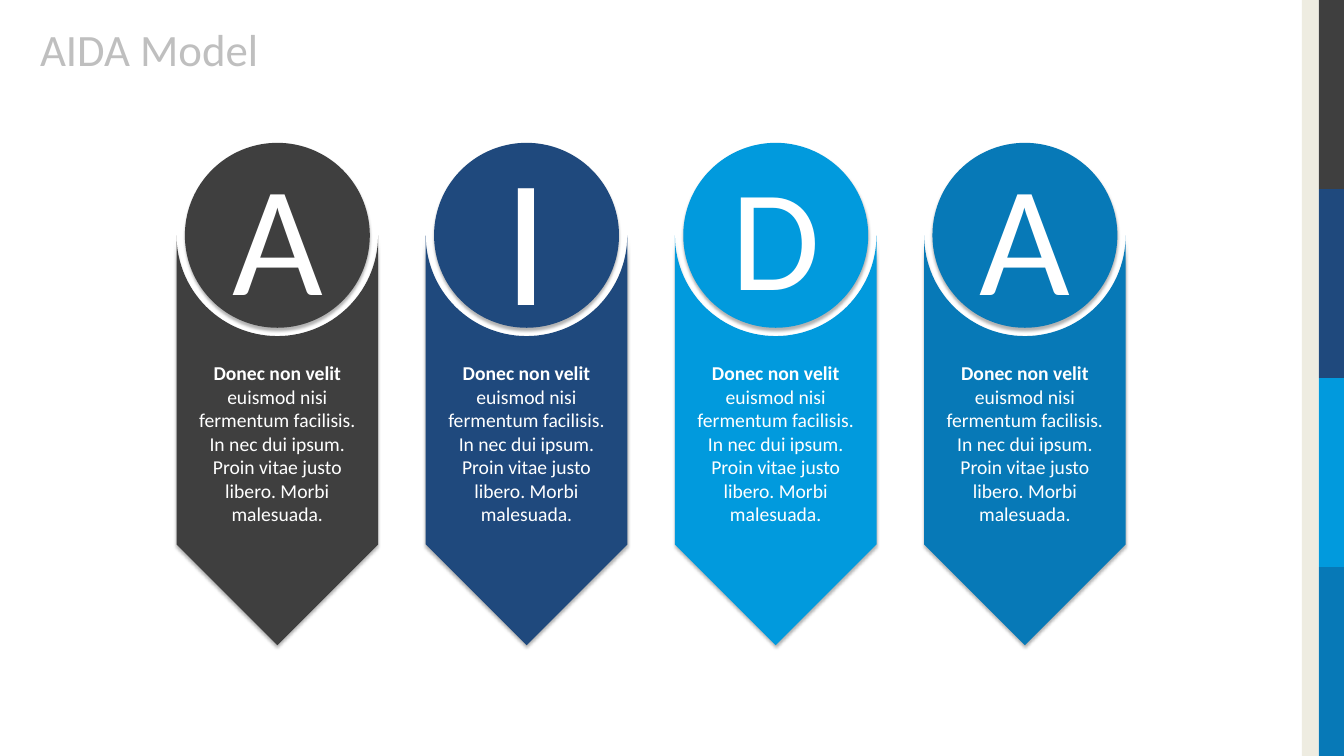
from dataclasses import dataclass
from math import cos, pi, sin

from lxml.etree import SubElement
from pptx import Presentation
from pptx.dml.color import RGBColor
from pptx.enum.shapes import MSO_SHAPE as Preset
from pptx.enum.text import MSO_ANCHOR as Anchor, MSO_AUTO_SIZE as AutoSize, PP_ALIGN as Align
from pptx.oxml.ns import qn
from pptx.util import Cm, Pt


@dataclass(frozen=True)
class Theme:
    font: str = "Calibri"
    pillars: tuple = ("3F3F3F", "1F497D", "019ADD", "0779B7")
    edge: str = "EEECE1"
    title: str = "BFBFBF"
    text: str = "FFFFFF"
    shadow: str = "000000"
    title_size: int = 32
    body_size: int = 14
    letter_sizes: tuple = (112, 130, 103, 112)


theme = Theme()


def paint(shape, color, shadow=False):
    shape.fill.solid()
    shape.fill.fore_color.rgb = RGBColor.from_string(color)
    shape.line.fill.background()
    shape.shadow.inherit = False
    if shadow:
        effects = shape._element.spPr.find(qn("a:effectLst"))
        outer = SubElement(effects, qn("a:outerShdw"), blurRad=str(Pt(2)), dist=str(Pt(2)),
                           dir="5400000", algn="t", rotWithShape="0")
        shade = SubElement(outer, qn("a:srgbClr"), val=theme.shadow)
        SubElement(shade, qn("a:alpha"), val="30000")


def add_text(shapes, box, texts, size, color, align=Align.CENTER, wrap=True):
    shape = shapes.add_textbox(*[Cm(length) for length in box])
    frame = shape.text_frame
    frame.word_wrap = wrap
    frame.auto_size = AutoSize.NONE
    paragraph = frame.paragraphs[0]
    paragraph.alignment = align
    for text in texts:
        run = paragraph.add_run()
        run.text = text
        run.font.name = theme.font
        run.font.size = Pt(size)
        run.font.color.rgb = RGBColor.from_string(color)
    return shape


presentation = Presentation()
presentation.slide_width = Cm(33.87)
presentation.slide_height = Cm(19.05)
slide = presentation.slides.add_slide(presentation.slide_layouts[6])

add_text(slide.shapes, (0.76, 0.43, 6.22, 1.63), ["AIDA Model"], theme.title_size,
         theme.title, Align.LEFT, wrap=False)

band_height = 19.05 / len(theme.pillars)
for index, color in enumerate(theme.pillars):
    band = slide.shapes.add_shape(Preset.RECTANGLE, Cm(33.23), Cm(index * band_height),
                                  Cm(0.64), Cm(band_height))
    paint(band, color)
edge = slide.shapes.add_shape(Preset.RECTANGLE, Cm(32.81), 0, Cm(0.42), Cm(19.05))
paint(edge, theme.edge)

first_center, pitch = 6.99, 6.28
circle_y, circle_radius = 5.93, 2.33
half_width, shoulder_y, tip_y = 2.54, 13.72, 16.26
letter_height, letter_lift = 6.1, 0.07
arc_steps = 60
body = ["Donec non velit ",
        "euismod nisi fermentum facilisis. In nec dui ipsum. Proin vitae justo libero. Morbi malesuada."]

for index, (letter, color, size) in enumerate(zip("AIDA", theme.pillars, theme.letter_sizes)):
    center = first_center + index * pitch
    shapes = slide.shapes.add_group_shape().shapes

    angles = [pi * step / arc_steps for step in range(arc_steps + 1)]
    outline = [(center - half_width * cos(angle), circle_y + half_width * sin(angle))
               for angle in angles]
    outline += [(center + half_width, shoulder_y), (center, tip_y),
                (center - half_width, shoulder_y)]
    points = [(Cm(x), Cm(y)) for x, y in outline]
    builder = shapes.build_freeform(*points[0])
    builder.add_line_segments(points[1:], close=True)
    paint(builder.convert_to_shape(), color, shadow=True)

    circle = shapes.add_shape(Preset.OVAL, Cm(center - circle_radius), Cm(circle_y - circle_radius),
                              Cm(2 * circle_radius), Cm(2 * circle_radius))
    paint(circle, color, shadow=True)

    letter_box = add_text(
        shapes, (center - half_width, circle_y - letter_height / 2 - letter_lift,
                 2 * half_width, letter_height), [letter], size, theme.text)
    letter_box.text_frame.vertical_anchor = Anchor.MIDDLE

    body_box = add_text(shapes, (center - 2.44, 8.97, 4.88, 4.45), body, theme.body_size, theme.text)
    body_box.text_frame.paragraphs[0].runs[0].font.bold = True

presentation.save("out.pptx")
